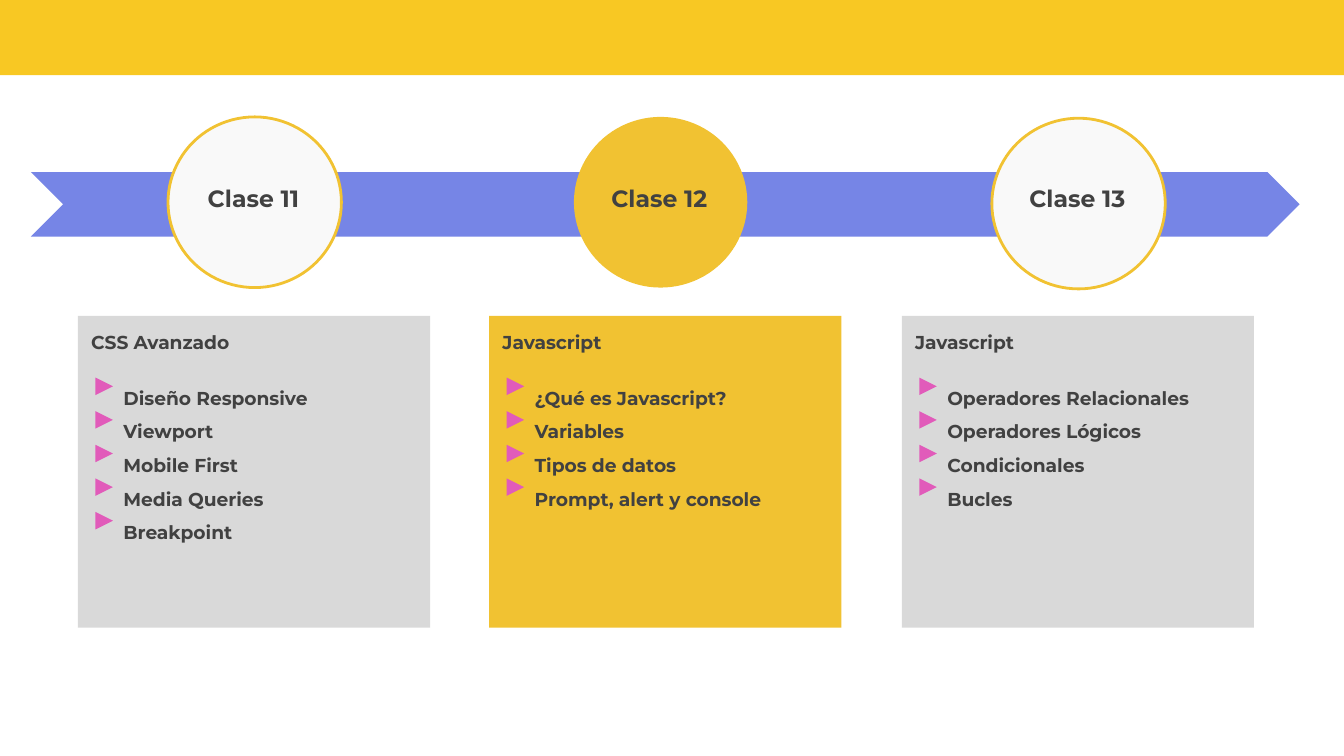
import pptx
import pptx.dml.color
import pptx.enum.shapes
import pptx.enum.text
import pptx.util

Inches = pptx.util.Inches
Pt = pptx.util.Pt
Shape = pptx.enum.shapes.MSO_SHAPE
Align = pptx.enum.text.PP_ALIGN

CLASSES = [
    {"label": "Clase 11", "topic": "CSS Avanzado", "current": False,
     "card_left": 0.58, "circle_left": 1.25, "circle_top": 0.87,
     "items": ["Diseño Responsive", "Viewport", "Mobile First", "Media Queries", "Breakpoint"]},
    {"label": "Clase 12", "topic": "Javascript", "current": True,
     "card_left": 3.64, "circle_left": 4.27, "circle_top": 0.87,
     "items": ["¿Qué es Javascript?", "Variables", "Tipos de datos", "Prompt, alert y console"]},
    {"label": "Clase 13", "topic": "Javascript", "current": False,
     "card_left": 6.71, "circle_left": 7.38, "circle_top": 0.88,
     "items": ["Operadores Relacionales", "Operadores Lógicos", "Condicionales", "Bucles"]},
]

FONT = "Montserrat"
TEXT = "414141"
GOLD = "F1C232"
BANNER = "F8C823"
TIMELINE = "7685E6"
LIGHT = "F9F9F9"
GREY = "D9D9D9"
MARKER = "E15BBA"

CIRCLE_WIDTH, CIRCLE_HEIGHT = 1.29, 1.27
LABEL_WIDTH, LABEL_HEIGHT, LABEL_TOP = 1.19, 0.33, 1.27
CARD_WIDTH, CARD_HEIGHT, CARD_TOP = 2.62, 2.32, 2.35
MARKER_SIZE, MARKER_TOP, MARKER_PITCH, MARKER_INSET = 0.13, 2.81, 0.25, 0.13


def color(value):
    return pptx.dml.color.RGBColor.from_string(value)


def add_block(slide, kind, left, top, width, height, fill, line=None):
    shape = slide.shapes.add_shape(kind, Inches(left), Inches(top), Inches(width), Inches(height))
    shape.shadow.inherit = False
    shape.fill.solid()
    shape.fill.fore_color.rgb = color(fill)
    if line:
        shape.line.color.rgb = color(line)
        shape.line.width = Pt(1.5)
    else:
        shape.line.fill.background()
    return shape


def place_text(shape, left, top, width, height):
    shape.left, shape.top = Inches(left), Inches(top)
    shape.width, shape.height = Inches(width), Inches(height)
    frame = shape.text_frame
    frame.word_wrap = True
    frame.auto_size = pptx.enum.text.MSO_AUTO_SIZE.NONE
    frame.vertical_anchor = pptx.enum.text.MSO_ANCHOR.TOP
    frame.margin_left = frame.margin_right = Inches(0.1)
    frame.margin_top = frame.margin_bottom = Inches(0.1)
    return frame


def write(paragraph, text, size, alignment=Align.LEFT):
    paragraph.alignment = alignment
    run = paragraph.add_run()
    run.text = text
    run.font.name = FONT
    run.font.size = Pt(size)
    run.font.bold = True
    run.font.color.rgb = color(TEXT)


def add_text_box(slide):
    return slide.shapes.add_textbox(0, 0, Inches(1), Inches(1))


def add_circle(slide, lesson):
    fill, line = (GOLD, None) if lesson["current"] else (LIGHT, GOLD)
    left = lesson["circle_left"]
    add_block(slide, Shape.OVAL, left, lesson["circle_top"], CIRCLE_WIDTH, CIRCLE_HEIGHT, fill, line)
    if lesson["current"]:
        label = slide.shapes.title
        slide.shapes._spTree.append(label._element)
    else:
        label = add_text_box(slide)
    label_left = left + (CIRCLE_WIDTH - LABEL_WIDTH) / 2 - 0.01
    frame = place_text(label, label_left, LABEL_TOP, LABEL_WIDTH, LABEL_HEIGHT)
    write(frame.paragraphs[0], lesson["label"], 12.6, Align.CENTER)


def add_card(slide, lesson):
    left = lesson["card_left"]
    fill = GOLD if lesson["current"] else GREY
    add_block(slide, Shape.RECTANGLE, left, CARD_TOP, CARD_WIDTH, CARD_HEIGHT, fill)
    frame = place_text(add_text_box(slide), left, CARD_TOP + 0.01, CARD_WIDTH, CARD_HEIGHT)
    heading = frame.paragraphs[0]
    heading.space_after = Pt(12)
    write(heading, lesson["topic"], 10)
    for index, item in enumerate(lesson["items"]):
        paragraph = frame.add_paragraph()
        paragraph.line_spacing = 1.5
        paragraph._p.get_or_add_pPr().set("marL", str(Inches(0.24)))
        write(paragraph, item, 10)
        marker = add_block(slide, Shape.ISOSCELES_TRIANGLE, left + MARKER_INSET,
                           MARKER_TOP + index * MARKER_PITCH, MARKER_SIZE, MARKER_SIZE, MARKER)
        marker.rotation = 90


def main():
    presentation = pptx.Presentation()
    presentation.slide_width = Inches(10)
    presentation.slide_height = presentation.slide_width * 9 // 16
    slide = presentation.slides.add_slide(presentation.slide_layouts[5])
    add_block(slide, Shape.RECTANGLE, -0.01, -0.05, 10.03, 0.61, BANNER)
    add_block(slide, Shape.CHEVRON, 0.23, 1.28, 9.44, 0.48, TIMELINE)
    for lesson in CLASSES:
        add_circle(slide, lesson)
        add_card(slide, lesson)
    presentation.save("out.pptx")


if __name__ == "__main__":
    main()
